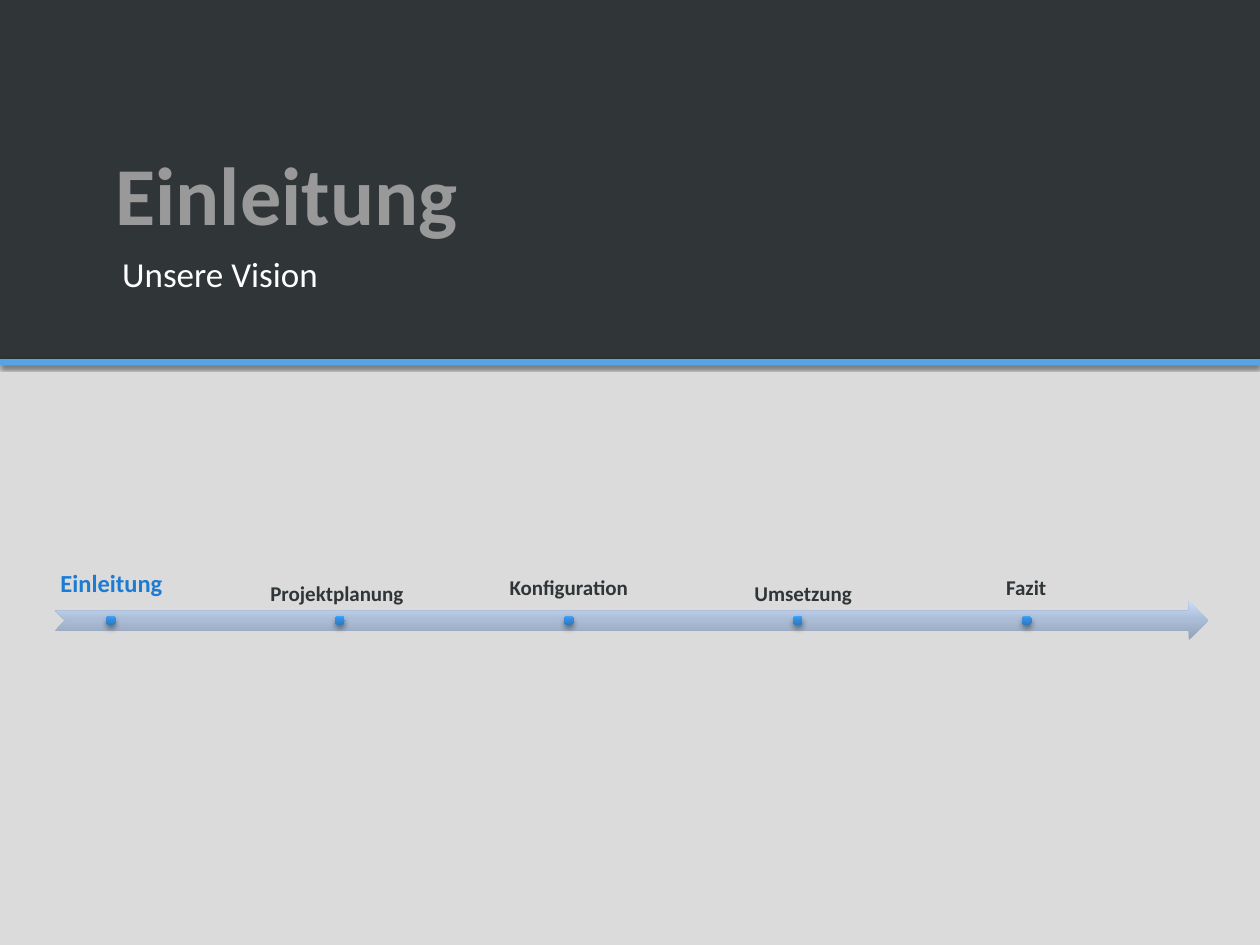
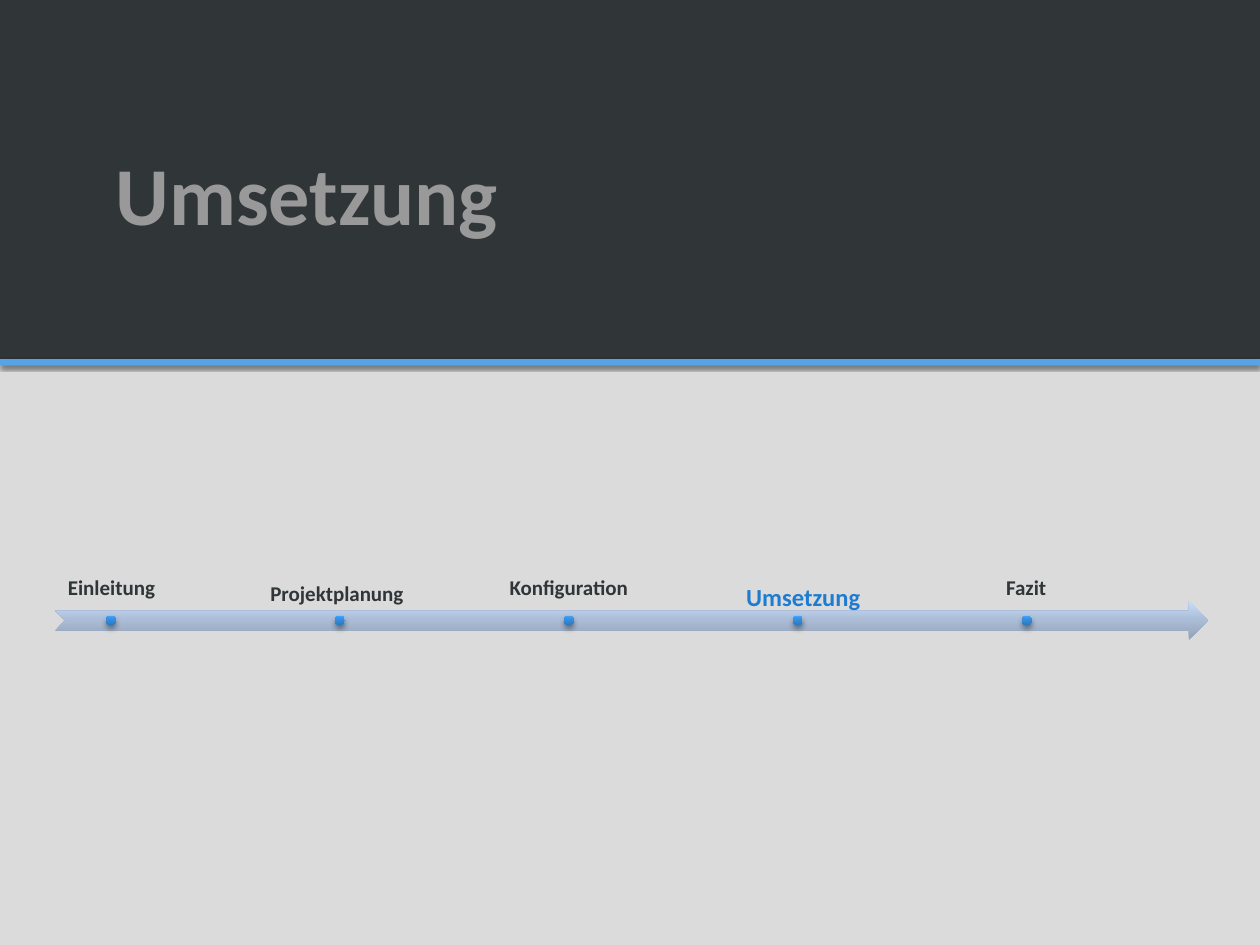
from lxml.etree import SubElement as Sub
from pptx import Presentation
from pptx.dml.color import RGBColor
from pptx.enum.shapes import MSO_SHAPE as Kind
from pptx.enum.text import MSO_ANCHOR as Anchor, PP_ALIGN as Align
from pptx.oxml.ns import qn
from pptx.util import Inches, Pt

FONT = "Calibri"
BACK, DARK, RULE = "DBDBDB", "303538", "57A3E8"
GREY, WHITE, ACTIVE = "999999", "FFFFFF", "1D7CD2"
STEEL = [(0, "92A1B7"), (55, "ACBED7"), (100, "C9DDFB")]
BLUE = [(0, "2C77BB"), (55, "338CDC"), (100, "3DA3FF")]

# Chapter name, offset of its label from the arrow, anchor
STEPS = [
    ("Einleitung", -0.42, Anchor.BOTTOM),
    ("Projektplanung", 1.37, Anchor.TOP),
    ("Konfiguration", 3.21, Anchor.BOTTOM),
    ("Umsetzung", 5.07, Anchor.TOP),
    ("Fazit", 6.84, Anchor.BOTTOM),
]


def color(code):
    return RGBColor.from_string(code)


def add_form(slide, kind, box, fill):
    """Add a shape; fill is a hex string or a list of gradient stops."""
    form = slide.shapes.add_shape(kind, *map(Inches, box))
    form.shadow.inherit = False
    form.line.fill.background()
    if isinstance(fill, str):
        form.fill.solid()
        form.fill.fore_color.rgb = color(fill)
        return form
    form.fill.gradient()
    form.fill.gradient_angle = 90
    stops = form.element.spPr.find(".//" + qn("a:gsLst"))
    for stop in list(stops):
        stops.remove(stop)
    for place, code in fill:
        stop = Sub(stops, qn("a:gs"), pos=str(place * 1000))
        Sub(stop, qn("a:srgbClr"), val=code)
    return form


def add_shade(form, alpha, blur, dist):
    """Drop a black shadow straight down."""
    effects = form.element.spPr.find(qn("a:effectLst"))
    shade = Sub(effects, qn("a:outerShdw"), blurRad=str(Pt(blur)),
                dist=str(Pt(dist)), dir="5400000", rotWithShape="0")
    black = Sub(shade, qn("a:srgbClr"), val="000000")
    Sub(black, qn("a:alpha"), val=str(alpha * 1000))


def add_text(slide, box, text, size, code, pads, bold=False,
             anchor=Anchor.TOP):
    """Add one line of text; pads are left, top, right, bottom."""
    frame = slide.shapes.add_textbox(*map(Inches, box)).text_frame
    frame.word_wrap = True
    frame.vertical_anchor = anchor
    (frame.margin_left, frame.margin_top,
     frame.margin_right, frame.margin_bottom) = map(Inches, pads)
    frame.text = text
    line = frame.paragraphs[0]
    font = line.runs[0].font
    font.name, font.size, font.bold = FONT, Pt(size), bold
    font.color.rgb = color(code)
    return line


def add_head(slide, box, title, lead):
    """Dark band with a blue rule below, title and optional lead."""
    left, top, width, height = box
    add_form(slide, Kind.RECTANGLE, box, DARK)
    rule = add_form(slide, Kind.RECTANGLE,
                    (left, top + height, width, 0.05), RULE)
    add_shade(rule, 60, 2.5, 0.8)
    add_text(slide, (left + 0.82, top + 0.13, width - 1.24, 1.79), title,
             47, GREY, (0.1, 0, 0.1, 0), True, Anchor.BOTTOM)
    if lead:
        add_text(slide, (left + 0.81, top + 2, width - 1.23, 0.75), lead,
                 20, WHITE, (0.16, 0, 0.05, 0))


def add_track(slide, box, current):
    """Arrow with one dot and label per chapter, the current one lit."""
    left, top, width, height = box
    add_form(slide, Kind.NOTCHED_RIGHT_ARROW, box, STEEL)
    dot, pitch = 0.08, 1.817
    for i, (name, shift, anchor) in enumerate(STEPS):
        lit = name == current
        size, code, pad = (14, ACTIVE, 0.11) if lit else (12, DARK, 0.09)
        label = add_text(slide, (left + shift, top - 0.23, 1.73, 0.31), name,
                         size, code, [pad] * 4, True, anchor)
        label.alignment = Align.CENTER
        label.line_spacing = 0.9
        spot = (left + 0.4 + i * pitch, top + (height - dot) / 2, dot, dot)
        add_shade(add_form(slide, Kind.OVAL, spot, BLUE), 38, 3.1, 2)


def add_chapter(deck, title, lead=None):
    slide = deck.slides.add_slide(deck.slide_layouts[6])
    slide.background.fill.solid()
    slide.background.fill.fore_color.rgb = color(BACK)
    add_head(slide, (0, 0, 10, 2.85), title, lead)
    add_track(slide, (0.44, 4.77, 9.15, 0.31), title)


def main():
    deck = Presentation()
    deck.slide_width, deck.slide_height = Inches(10), Inches(7.5)
    add_chapter(deck, "Einleitung", "Unsere Vision")
    add_chapter(deck, "Umsetzung")
    deck.save("out.pptx")


if __name__ == "__main__":
    main()
